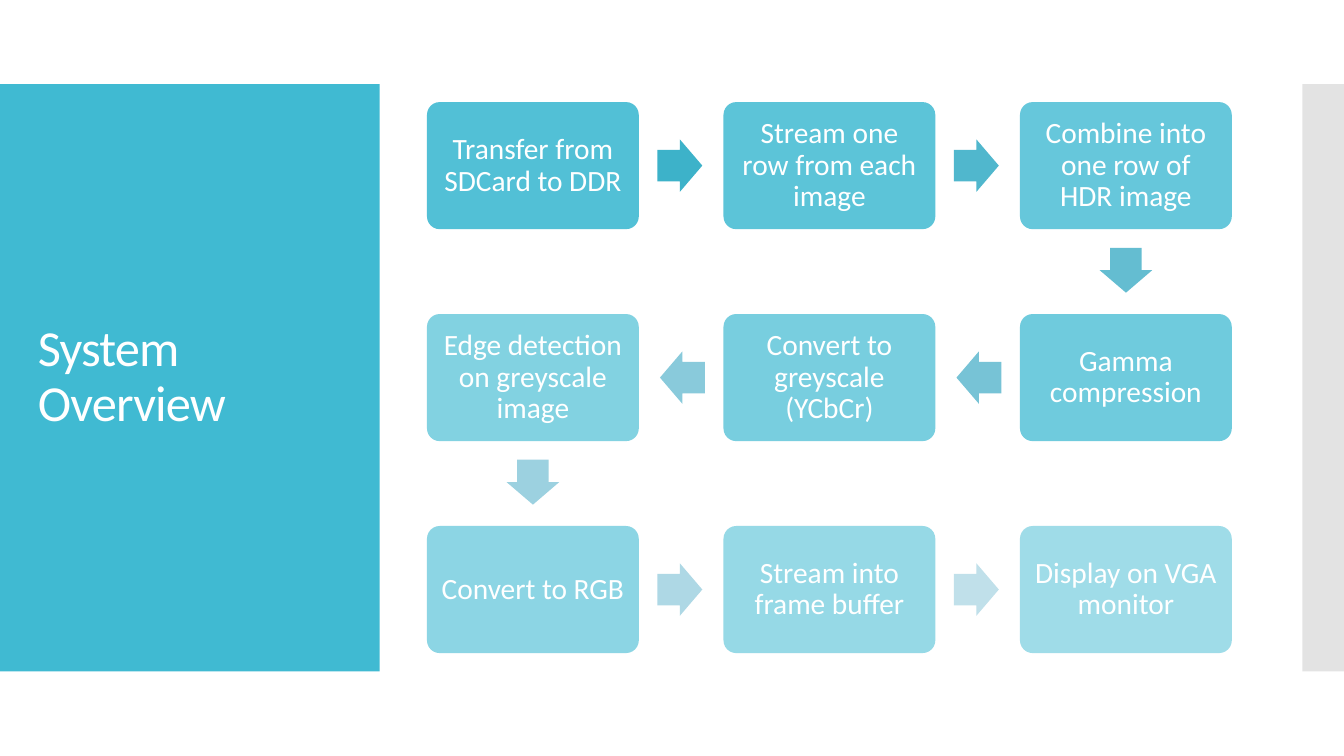
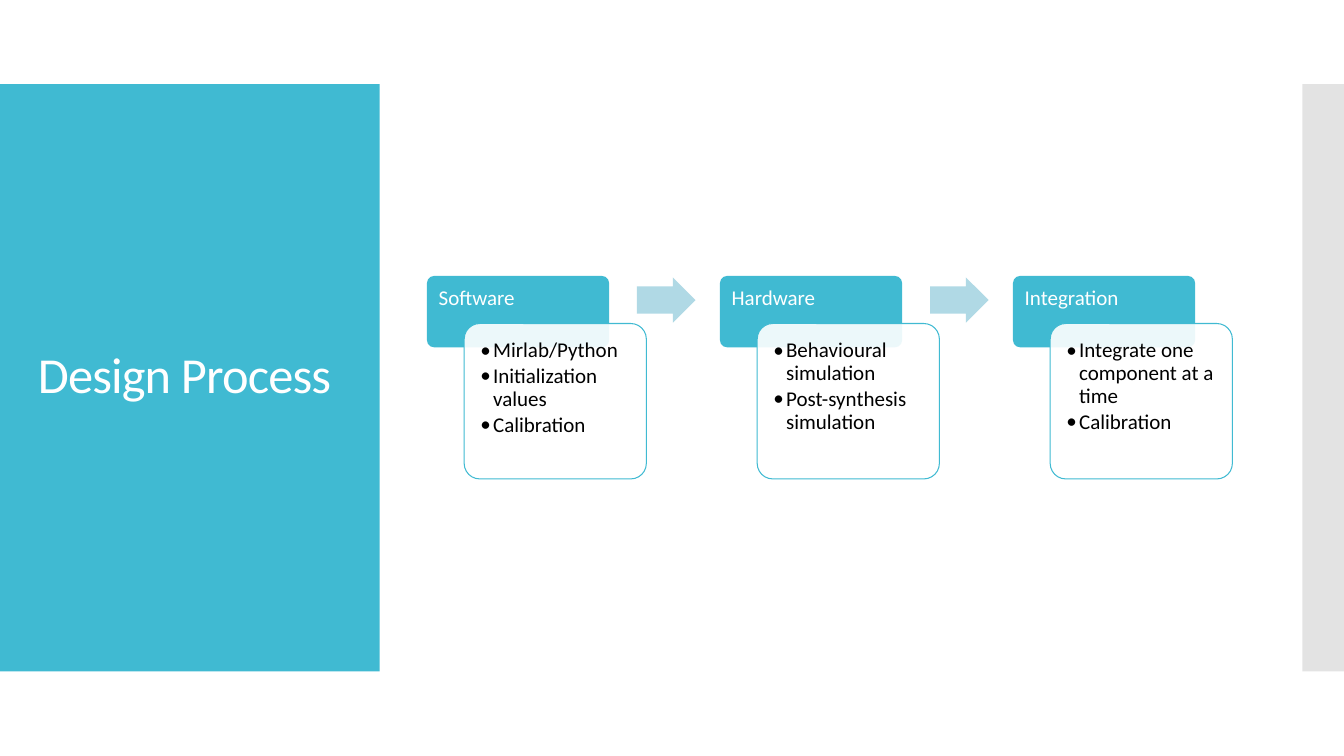
from pptx import Presentation
from pptx.dml.color import RGBColor
from pptx.enum.shapes import MSO_SHAPE
from pptx.enum.text import MSO_ANCHOR, PP_ALIGN
from pptx.oxml.xmlchemy import OxmlElement
from pptx.util import Pt

TEAL = RGBColor(0x40, 0xBA, 0xD2)
GREY = RGBColor(0xC8, 0xC8, 0xC8)
WHITE = RGBColor(0xFF, 0xFF, 0xFF)
BLACK = RGBColor(0x00, 0x00, 0x00)
PALE_ARROW = RGBColor(0xB0, 0xD9, 0xE5)
FLOW_ARROWS = [RGBColor.from_string(code) for code in (
    "3DB2C9", "50B7CD", "64BDD1", "77C3D6", "89CADB", "9CD1E0", "AED8E5", "C0E0EA")]

FONT = "Calibri"
SLIDE_WIDTH, SLIDE_HEIGHT = 960, 540
BAND_TOP, BAND_HEIGHT = 60, 419.5
CONTENT_LEFT = 305

FLOW_COLUMNS = 3
FLOW_TOP = 72.9
FLOW_BOX = (151.3, 90.8)
FLOW_PITCH = (211.8, 151.4)
FLOW_ARROW = (32.1, 37.5)
FLOW_ARROW_GAP = 13.3
ARROW_ROTATION = {(1, 0): 0, (0, 1): 90, (-1, 0): 180}
FLOW_STEPS = [
    "Transfer from SDCard to DDR",
    "Stream one row from each image",
    "Combine into one row of HDR image",
    "Gamma compression",
    "Convert to greyscale (YCbCr)",
    "Edge detection on greyscale image",
    "Convert to RGB",
    "Stream into frame buffer",
    "Display on VGA monitor",
]

STAGE_TOP, STAGE_PITCH, STAGE_WIDTH = 197.1, 209.3, 130.1
STAGES = [
    ("Software", ["Mirlab/Python", "Initialization values", "Calibration"]),
    ("Hardware", ["Behavioural simulation", "Post-synthesis simulation"]),
    ("Integration", ["Integrate one component at a time", "Calibration"]),
]


def set_values(target, values):
    for name, value in values.items():
        setattr(target, name, value)


def add_figure(page, kind, left, top, width, height, fill, opacity=100, line=None, adjust=()):
    """Add a flat preset shape; opacity is a percentage."""
    box = page.shapes.add_shape(kind, Pt(left), Pt(top), Pt(width), Pt(height))
    box.shadow.inherit = False
    box.fill.solid()
    box.fill.fore_color.rgb = fill
    if opacity < 100:
        alpha = OxmlElement("a:alpha")
        alpha.set("val", str(opacity * 1000))
        box.fill._xPr.solidFill[0].append(alpha)
    if line is None:
        box.line.fill.background()
    else:
        box.line.color.rgb = line
        box.line.width = Pt(0.75)
    for index, value in enumerate(adjust):
        box.adjustments[index] = value
    return box


def add_round_box(page, left, top, width, height, fill, **style):
    return add_figure(page, MSO_SHAPE.ROUNDED_RECTANGLE, left, top, width, height, fill,
                      adjust=[0.1], **style)


def add_arrow(page, left, top, width, height, fill, rotation=0):
    arrow = add_figure(page, MSO_SHAPE.RIGHT_ARROW, left, top, width, height, fill,
                       adjust=[0.6, 0.5])
    arrow.rotation = rotation


def add_bullet(para):
    properties = para._p.get_or_add_pPr()
    properties.set("marL", str(Pt(9)))
    properties.set("indent", str(-Pt(9)))
    for tag, name, value in (("a:buFont", "typeface", FONT), ("a:buChar", "char", "•")):
        element = OxmlElement(tag)
        element.set(name, value)
        properties.append(element)


def write(box, lines, size, color, inset, anchor=MSO_ANCHOR.TOP, align=PP_ALIGN.LEFT,
          bullets=False):
    frame = box.text_frame
    margins = dict.fromkeys(
        ("margin_left", "margin_top", "margin_right", "margin_bottom"), Pt(inset))
    set_values(frame, {"word_wrap": True, "vertical_anchor": anchor, **margins})
    for index, line in enumerate(lines):
        para = frame.add_paragraph() if index else frame.paragraphs[0]
        set_values(para, {"alignment": align, "line_spacing": 0.9,
                          "space_after": Pt(2.25 if bullets else 0)})
        if bullets:
            add_bullet(para)
        span = para.add_run()
        span.text = line
        set_values(span.font, {"name": FONT, "size": Pt(size)})
        span.font.color.rgb = color


def add_page(deck, title):
    """Add a blank page with the title panel and the right-hand bar."""
    page = deck.slides.add_slide(deck.slide_layouts[6])
    add_figure(page, MSO_SHAPE.RECTANGLE, 0, BAND_TOP, 271.2, BAND_HEIGHT, TEAL)
    add_figure(page, MSO_SHAPE.RECTANGLE, 930.4, BAND_TOP, 29.6, BAND_HEIGHT, GREY, opacity=50)
    box = page.shapes.add_textbox(Pt(20), Pt(88.6), Pt(232), Pt(362))
    write(box, [title], 36, WHITE, 7.2, MSO_ANCHOR.MIDDLE)
    box.text_frame.paragraphs[0].runs[0].font._element.set("spc", "-60")
    return page


def flow_cell(index):
    """Return column and row of a step; every second row runs backwards."""
    row, column = divmod(index, FLOW_COLUMNS)
    return (FLOW_COLUMNS - 1 - column if row % 2 else column), row


def add_flow_arrow(page, index, left, top):
    """Add the arrow that leaves a step towards the next one."""
    column, row = flow_cell(index)
    next_column, next_row = flow_cell(index + 1)
    direction = (next_column - column, next_row - row)
    corner = [
        start + extent / 2 + step * (extent / 2 + FLOW_ARROW_GAP + FLOW_ARROW[0] / 2) - size / 2
        for start, extent, step, size in zip((left, top), FLOW_BOX, direction, FLOW_ARROW)]
    add_arrow(page, *corner, *FLOW_ARROW, FLOW_ARROWS[index], ARROW_ROTATION[direction])


def add_flow(page):
    for index, step in enumerate(FLOW_STEPS):
        column, row = flow_cell(index)
        left = CONTENT_LEFT + column * FLOW_PITCH[0]
        top = FLOW_TOP + row * FLOW_PITCH[1]
        box = add_round_box(page, left, top, *FLOW_BOX, TEAL, opacity=90 - 5 * index)
        write(box, [step], 21, WHITE, 6.3, MSO_ANCHOR.MIDDLE, PP_ALIGN.CENTER)
        if index < len(FLOW_STEPS) - 1:
            add_flow_arrow(page, index, left, top)


def add_stages(page):
    for index, (name, tasks) in enumerate(STAGES):
        left = CONTENT_LEFT + index * STAGE_PITCH
        header = add_round_box(page, left, STAGE_TOP, STAGE_WIDTH, 51, TEAL)
        write(header, [name], 15, WHITE, 6.9)
        details = add_round_box(page, left + 26.6, STAGE_TOP + 34, STAGE_WIDTH, 111, WHITE,
                                opacity=90, line=TEAL)
        write(details, tasks, 15, BLACK, 8.4, bullets=True)
        if index < len(STAGES) - 1:
            add_arrow(page, left + 150, STAGE_TOP + 1, 41.8, 32.4, PALE_ARROW)


def main():
    deck = Presentation()
    set_values(deck, {"slide_width": Pt(SLIDE_WIDTH), "slide_height": Pt(SLIDE_HEIGHT)})
    add_flow(add_page(deck, "System Overview"))
    add_stages(add_page(deck, "Design Process"))
    deck.save("out.pptx")


if __name__ == "__main__":
    main()
